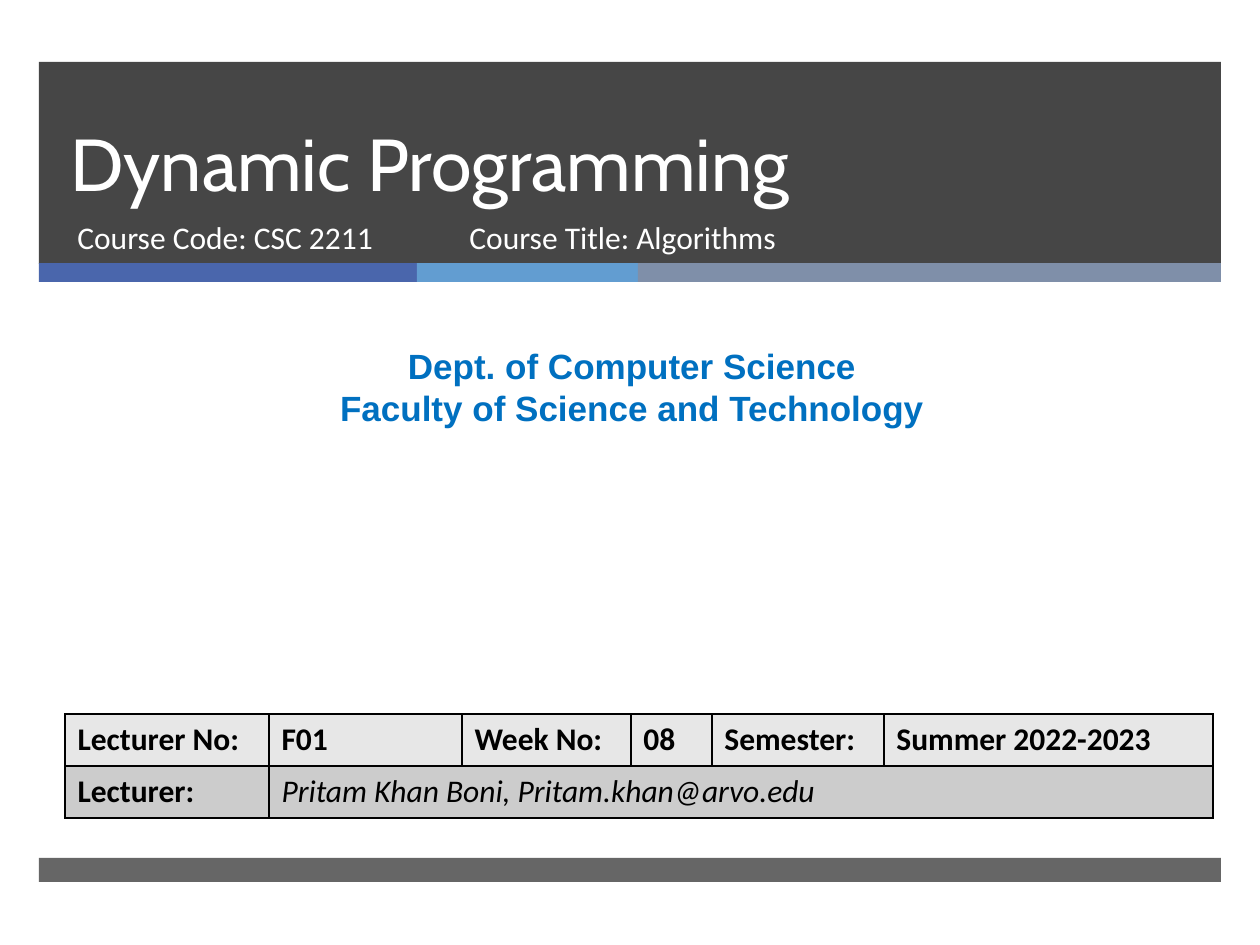
from lxml.etree import SubElement
from pptx import Presentation
from pptx.dml.color import RGBColor
from pptx.enum.shapes import MSO_SHAPE as SHAPE
from pptx.enum.text import MSO_ANCHOR as ANCHOR, PP_ALIGN as ALIGN
from pptx.oxml.ns import qn
from pptx.util import Emu, Pt

EMU_PER_PX = 914400 / 126


def px(n):
    return Emu(round(n * EMU_PER_PX))


def rgb(value):
    return RGBColor.from_string(value)


class Deck:
    body_font = "Calibri"
    body_size = 18
    white = "FFFFFF"
    black = "000000"

    def __init__(self, width, height):
        self.prs = Presentation()
        self.prs.slide_width = px(width)
        self.prs.slide_height = px(height)
        self.s = self.prs.slides.add_slide(self.prs.slide_layouts[6])

    def format(self, p, color, font=None, size=None, bold=False, italic=False):
        for r in p.runs:
            r.font.name = font or self.body_font
            r.font.size = Pt(size or self.body_size)
            r.font.bold = bold
            r.font.italic = italic
            r.font.color.rgb = rgb(color)

    def bar(self, x, y, w, h, color, opacity=100):
        sp = self.s.shapes.add_shape(SHAPE.RECTANGLE, px(x), px(y), px(w), px(h))
        sp.shadow.inherit = False
        sp.fill.solid()
        sp.fill.fore_color.rgb = rgb(color)
        sp.line.fill.background()
        if opacity < 100:
            clr = sp.fill._xPr.find(".//" + qn("a:srgbClr"))
            SubElement(clr, qn("a:alpha"), val=str(opacity * 1000))

    def text(self, x, y, w, h, text, color=white, align=ALIGN.LEFT,
             anchor=ANCHOR.TOP, spacing=None, **style):
        sp = self.s.shapes.add_textbox(px(x), px(y), px(w), px(h))
        tf = sp.text_frame
        tf.word_wrap = True
        tf.vertical_anchor = anchor
        tf.text = text
        for p in tf.paragraphs:
            p.alignment = align
            if spacing:
                p.line_spacing = Pt(spacing)
            self.format(p, color, **style)

    def border(self, cell):
        tc_pr = cell._tc.get_or_add_tcPr()
        for side in ("lnL", "lnR", "lnT", "lnB"):
            ln = SubElement(tc_pr, qn("a:" + side), w=str(Pt(1)))
            fill = SubElement(ln, qn("a:solidFill"))
            SubElement(fill, qn("a:srgbClr"), val=self.black)

    def table(self, x, y, cols, row_h, rows, fills):
        frame = self.s.shapes.add_table(len(rows), len(cols), px(x), px(y),
                                        px(sum(cols)), px(row_h * len(rows)))
        tbl = frame.table
        for col, w in zip(tbl.columns, cols):
            col.width = px(w)
        for i, (row, fill) in enumerate(zip(rows, fills)):
            tbl.rows[i].height = px(row_h)
            for j in range(len(cols)):
                cell = tbl.cell(i, j)
                self.border(cell)
                cell.fill.solid()
                cell.fill.fore_color.rgb = rgb(fill)
                if j < len(row):
                    cell.text = row[j]
                    self.format(cell.text_frame.paragraphs[0], self.black, bold=True)
        return tbl


def main():
    deck = Deck(1260, 945)
    left, width = 39, 1182

    deck.bar(left, 62, width, 202, "262626", opacity=85)
    x = left
    for w, color in ((378, "4A66AC"), (221, "629DD1"), (583, "7F8FA9")):
        deck.bar(x, 263, w, 19, color)
        x += w
    deck.bar(left, 858, width, 24, "262626", opacity=70)

    deck.text(58, 62, 1076, 150, "Dynamic Programming", anchor=ANCHOR.BOTTOM,
              spacing=46, font="Cabin", size=42)
    deck.text(65, 212, 384, 67, "Course Code: CSC 2211")
    deck.text(457, 212, 573, 67, "Course Title: Algorithms")
    deck.text(10, 338, 1244, 97,
              "Dept. of Computer Science\nFaculty of Science and Technology",
              color="0070C0", align=ALIGN.CENTER, spacing=24,
              font="Arial", size=20, bold=True)

    rows = (
        ("Lecturer No:", "F01", "Week No:", "08", "Semester:", "Summer 2022-2023"),
        ("Lecturer:", "Pritam Khan Boni, Pritam.khan@arvo.edu"),
    )
    tbl = deck.table(65, 714, (204, 193, 169, 81, 172, 329), 52, rows,
                     ("E7E7E7", "CCCCCC"))
    lecturer = tbl.cell(1, 1)
    lecturer.merge(tbl.cell(1, 5))
    deck.format(lecturer.text_frame.paragraphs[0], deck.black, italic=True)

    deck.prs.save("out.pptx")


if __name__ == "__main__":
    main()
